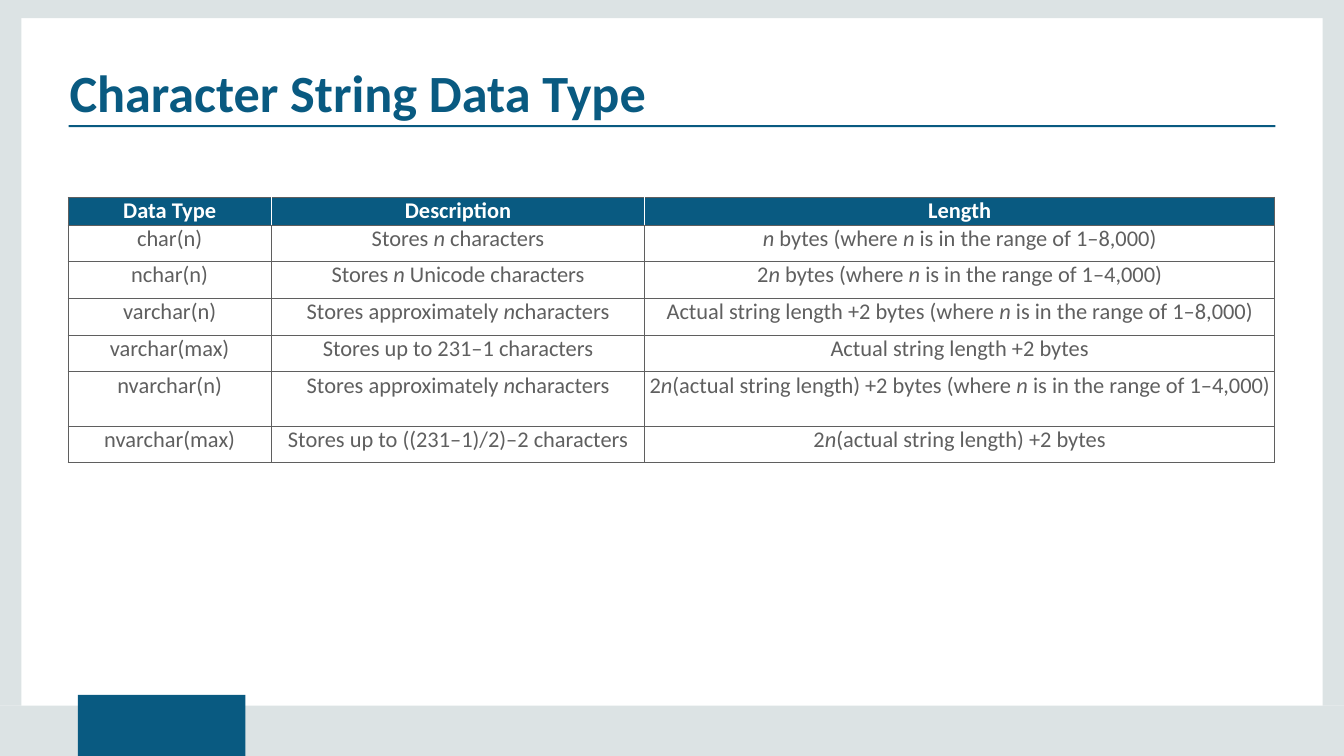
"""Build the slide on character string data types."""
from dataclasses import dataclass

import pptx
import pptx.dml.color
import pptx.enum.shapes
import pptx.enum.text
import pptx.oxml
import pptx.oxml.ns
import pptx.util

Pt = pptx.util.Pt
Align = pptx.enum.text.PP_ALIGN


@dataclass(frozen=True)
class Theme:
    """Hold the colours, font and type sizes."""
    blue: str = "095A81"
    pale: str = "DCE3E4"
    gray: str = "5F5F5F"
    white: str = "FFFFFF"
    font: str = "Calibri"
    head: int = 56
    body: int = 24


THEME = Theme()
WIDE, HIGH = 1440, 810
COLS = (217.5, 400.5, 674.5)
ROWS = (29.5, 39, 39.5, 39.5, 39.5, 58, 39.5)
CELLS = (
    ("Data Type", "Description", "Length"),
    ("char(n)", "Stores *n* characters",
     "*n* bytes (where *n* is in the range of 1–8,000)"),
    ("nchar(n)", "Stores *n* Unicode characters",
     "2*n* bytes (where *n* is in the range of 1–4,000)"),
    ("varchar(n)", "Stores approximately *n*characters",
     "Actual string length +2 bytes (where *n* is in the range of 1–8,000)"),
    ("varchar(max)", "Stores up to 231–1 characters",
     "Actual string length +2 bytes"),
    ("nvarchar(n)", "Stores approximately *n*characters",
     "2*n*(actual string length) +2 bytes (where *n* is in the range of 1–4,000)"),
    ("nvarchar(max)", "Stores up to ((231–1)/2)–2 characters",
     "2*n*(actual string length) +2 bytes"),
)
LONG = (5, 2)


def paint(fill, tint):
    """Make a fill solid in the given tint."""
    fill.solid()
    fill.fore_color.rgb = pptx.dml.color.RGBColor.from_string(tint)


def style(font, size, tint, bold):
    """Set the face, size, colour and weight of a font."""
    font.name, font.size, font.bold = THEME.font, Pt(size), bold
    font.color.rgb = pptx.dml.color.RGBColor.from_string(tint)


def block(slide, box, tint):
    """Add a plain filled rectangle."""
    kind = pptx.enum.shapes.MSO_SHAPE.RECTANGLE
    shape = slide.shapes.add_shape(kind, *map(Pt, box))
    shape.shadow.inherit = False
    paint(shape.fill, tint)
    shape.line.fill.background()


def frame(slide, box):
    """Draw the pale frame and the blue tab at its foot."""
    left, top, wide, high = box
    side, lip, foot = 23, 19.5, 54
    base = top + high - foot
    tall = high - lip - foot
    block(slide, (left, top, wide, lip), THEME.pale)
    for x in (left, left + wide - side):
        block(slide, (x, top + lip, side, tall), THEME.pale)
    block(slide, (left, base, wide, foot), THEME.pale)
    block(slide, (left + 83.5, base - 11.5, 179.5, foot + 11.5), THEME.blue)


def header(slide, box, text):
    """Place the title with a rule beneath it."""
    left, top, wide, high = box
    title = slide.shapes.title
    title.left, title.top, title.width, title.height = map(
        Pt, (left + 1, top, wide - 1, high))
    body = title.text_frame
    body.margin_left = body.margin_right = 0
    body.margin_top = body.margin_bottom = 0
    body.vertical_anchor = pptx.enum.text.MSO_ANCHOR.TOP
    body.text = text
    para = body.paragraphs[0]
    para.alignment = Align.LEFT
    para.line_spacing = 1.0
    style(para.font, THEME.head, THEME.blue, True)
    block(slide, (left, top + 69, wide, 2.25), THEME.blue)


def border(cell, tints):
    """Draw one-point lines on the sides of a cell."""
    props = cell._tc.get_or_add_tcPr()
    for side, tint in zip("LRTB", tints):
        props.append(pptx.oxml.parse_xml(
            f'<a:ln{side} {pptx.oxml.ns.nsdecls("a")} w="{Pt(1)}">'
            f'<a:solidFill><a:srgbClr val="{tint}"/></a:solidFill>'
            f'</a:ln{side}>'))


def write(cell, text, tint, bold):
    """Fill a cell with text, where stars enclose italics."""
    cell.margin_left = cell.margin_right = 0
    cell.margin_top = cell.margin_bottom = 0
    para = cell.text_frame.paragraphs[0]
    para.alignment = Align.CENTER
    style(para.font, THEME.body, tint, bold)
    for i, part in enumerate(text.split("*")):
        if part:
            run = para.add_run()
            run.text = part
            if i % 2:
                run.font.italic = True


def grid(slide, box):
    """Place the table of data types."""
    shape = slide.shapes.add_table(len(ROWS), len(COLS), *map(Pt, box))
    table = shape.table
    table.horz_banding = False
    for col, wide in zip(table.columns, COLS):
        col.width = Pt(wide)
    for row, high in zip(table.rows, ROWS):
        row.height = Pt(high)
    last = len(COLS) - 1
    for r, line in enumerate(CELLS):
        for c, text in enumerate(line):
            cell = table.cell(r, c)
            top = r == 0
            west = THEME.white if top and c > 0 else THEME.gray
            east = THEME.white if top and c < last else THEME.gray
            border(cell, (west, east, THEME.gray, THEME.gray))
            if top:
                paint(cell.fill, THEME.blue)
            else:
                cell.fill.background()
            write(cell, text, THEME.white if top else THEME.gray, top)
    cell = table.cell(*LONG)
    cell.margin_left = Pt(5)
    cell.text_frame.paragraphs[0].alignment = Align.LEFT


def main():
    """Build and save the deck."""
    deck = pptx.Presentation()
    deck.slide_width, deck.slide_height = Pt(WIDE), Pt(HIGH)
    slide = deck.slides.add_slide(deck.slide_layouts[5])
    paint(slide.background.fill, THEME.white)
    frame(slide, (0, 0, WIDE, HIGH))
    header(slide, (73.5, 65, 1293, 58.5), "Character String Data Type")
    grid(slide, (73, 211.5, sum(COLS), sum(ROWS)))
    deck.save("out.pptx")


if __name__ == "__main__":
    main()
